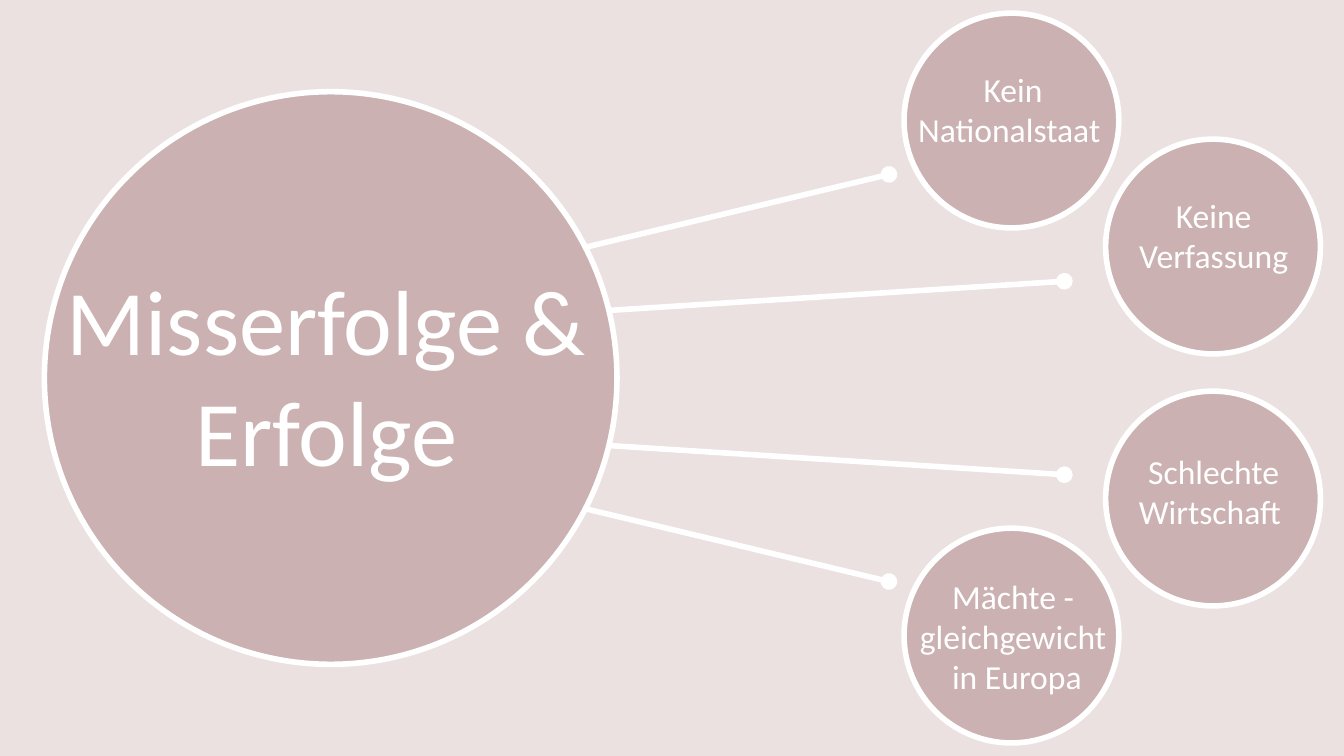
import dataclasses
import typing

import lxml.etree
import pptx
import pptx.dml.color
import pptx.enum.shapes
import pptx.enum.text
import pptx.oxml.ns
import pptx.slide
import pptx.util

Pt = pptx.util.Pt
qn = pptx.oxml.ns.qn
RGB = pptx.dml.color.RGBColor


@dataclasses.dataclass(frozen=True)
class Theme:
    back: RGB = RGB(0xEB, 0xE1, 0xE1)
    fill: RGB = RGB(0xC4, 0xA6, 0xA6)
    white: RGB = RGB(0xFF, 0xFF, 0xFF)
    alpha: int = 80
    line: float = 4
    font: str = "Calibri"
    title: float = 66
    label: float = 24


@dataclasses.dataclass(frozen=True)
class Disc:
    left: float
    top: float
    size: float


@dataclasses.dataclass(frozen=True)
class Label:
    left: float
    top: float
    width: float
    height: float
    size: float
    lines: tuple[str, ...]


@dataclasses.dataclass(frozen=True)
class Spoke:
    x1: float
    y1: float
    x2: float
    y2: float


THEME = Theme()
WIDTH, HEIGHT = 960, 540
SMALL = 153.4
INNER, OUTER = 645.8, 789.8
LABEL_IN, LABEL_OUT, LABEL_WIDTH = 637.9, 781.2, 171.4

DISCS = (
    Disc(31.7, 65.5, 409),
    Disc(INNER, 9.4, SMALL),
    Disc(OUTER, 99.4, SMALL),
    Disc(OUTER, 279.4, SMALL),
    Disc(INNER, 377.3, SMALL),
)
UPPER = (
    Spoke(419, 176.4, 635, 124.6),
    Spoke(434.2, 221.8, 760.3, 200.9),
)
LABELS = (
    Label(28.8, 184.3, 409, 167, THEME.title, ("Misserfolge & Erfolge",)),
    Label(LABEL_IN, 45.4, LABEL_WIDTH, 65.4, THEME.label, ("Kein Nationalstaat ",)),
    Label(LABEL_OUT, 135.4, LABEL_WIDTH, 65.4, THEME.label, ("Keine Verfassung",)),
    Label(LABEL_OUT, 318.2, LABEL_WIDTH, 65.4, THEME.label, ("Schlechte Wirtschaft ",)),
    Label(LABEL_IN, 407.5, LABEL_WIDTH, 94.5, THEME.label,
          ("Mächte -", "gleichgewicht", " in Europa")),
)


def style_line(line: typing.Any) -> None:
    line.color.rgb = THEME.white
    line.width = Pt(THEME.line)


def draw_disc(slide: pptx.slide.Slide, disc: Disc) -> None:
    shape = slide.shapes.add_shape(
        pptx.enum.shapes.MSO_SHAPE.OVAL,
        Pt(disc.left), Pt(disc.top), Pt(disc.size), Pt(disc.size))
    shape.shadow.inherit = False
    shape.fill.solid()
    shape.fill.fore_color.rgb = THEME.fill
    color = shape.fill._xPr.find(qn("a:solidFill"))[0]
    lxml.etree.SubElement(color, qn("a:alpha"), val=str(THEME.alpha * 1000))
    style_line(shape.line)


def mirror(spoke: Spoke) -> Spoke:
    """Flip a spoke about the middle height of the slide."""
    return Spoke(spoke.x1, HEIGHT - spoke.y1, spoke.x2, HEIGHT - spoke.y2)


def draw_spoke(slide: pptx.slide.Slide, spoke: Spoke) -> None:
    wire = slide.shapes.add_connector(
        pptx.enum.shapes.MSO_CONNECTOR.STRAIGHT,
        Pt(spoke.x1), Pt(spoke.y1), Pt(spoke.x2), Pt(spoke.y2))
    style_line(wire.line)
    props = wire._element.spPr
    lxml.etree.SubElement(props.find(qn("a:ln")), qn("a:tailEnd"), type="oval")
    lxml.etree.SubElement(props, qn("a:effectLst"))


def draw_label(slide: pptx.slide.Slide, label: Label) -> None:
    frame = slide.shapes.add_textbox(
        Pt(label.left), Pt(label.top), Pt(label.width), Pt(label.height)).text_frame
    frame.word_wrap = True
    frame.auto_size = pptx.enum.text.MSO_AUTO_SIZE.SHAPE_TO_FIT_TEXT
    for index, text in enumerate(label.lines):
        para = frame.add_paragraph() if index else frame.paragraphs[0]
        para.alignment = pptx.enum.text.PP_ALIGN.CENTER
        run = para.add_run()
        run.text = text
        run.font.name = THEME.font
        run.font.size = Pt(label.size)
        run.font.color.rgb = THEME.white


def main() -> None:
    deck = pptx.Presentation()
    deck.slide_width, deck.slide_height = Pt(WIDTH), Pt(HEIGHT)
    slide = deck.slides.add_slide(deck.slide_layouts[6])
    slide.background.fill.solid()
    slide.background.fill.fore_color.rgb = THEME.back
    for disc in DISCS:
        draw_disc(slide, disc)
    for spoke in UPPER:
        draw_spoke(slide, spoke)
        draw_spoke(slide, mirror(spoke))
    for label in LABELS:
        draw_label(slide, label)
    deck.save("out.pptx")


if __name__ == "__main__":
    main()
